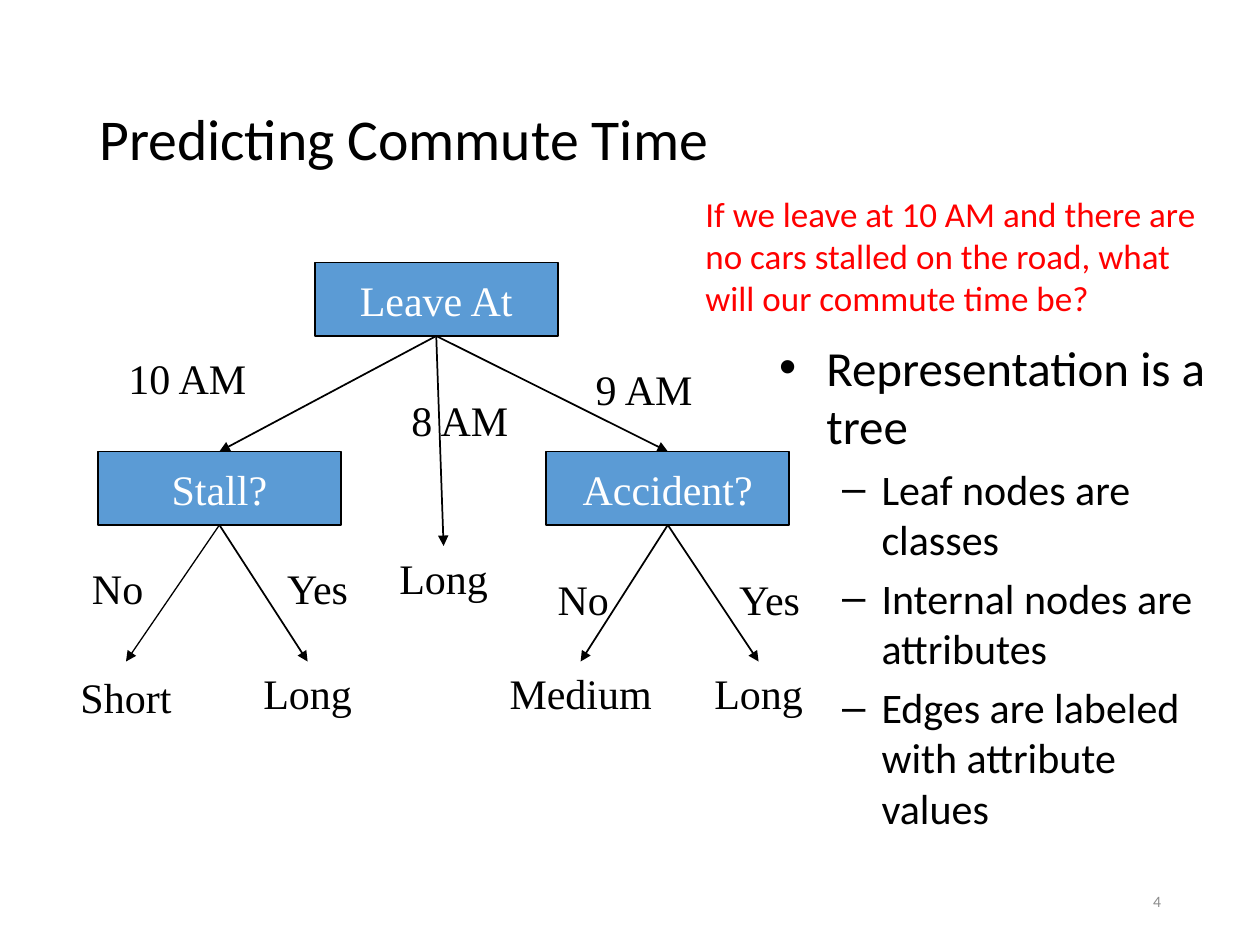
from lxml import etree
from pptx import Presentation
from pptx.dml.color import RGBColor
from pptx.enum.shapes import MSO_CONNECTOR, MSO_SHAPE
from pptx.enum.text import MSO_ANCHOR, MSO_AUTO_SIZE, PP_ALIGN
from pptx.oxml.ns import qn
from pptx.util import Inches, Pt

LEFT, CENTER, RIGHT = PP_ALIGN.LEFT, PP_ALIGN.CENTER, PP_ALIGN.RIGHT
MIDDLE, TOP = MSO_ANCHOR.MIDDLE, MSO_ANCHOR.TOP
GROW, NO_FIT = MSO_AUTO_SIZE.SHAPE_TO_FIT_TEXT, MSO_AUTO_SIZE.NONE
RECT, STRAIGHT = MSO_SHAPE.RECTANGLE, MSO_CONNECTOR.STRAIGHT
SANS, SERIF = "Calibri", "Times New Roman"
COLORS = {"ink": "000000", "node": "5B9BD5", "white": "FFFFFF",
          "question": "FF0000", "number": "8C8C8C"}

prs = Presentation()
prs.slide_width, prs.slide_height = Inches(10), Inches(7.5)
COL, ROW = prs.slide_width / 120, prs.slide_height / 90
NODE_W, NODE_H, LABEL_W, LABEL_H = 23.15, 7, 12.5, 6


def grid(col, row, width, height):
    return int(col * COL), int(row * ROW), int(width * COL), int(height * ROW)


def style(p, size, color, font=SANS, align=LEFT):
    p.alignment = align
    for r in p.runs:
        r.font.size, r.font.name = Pt(size), font
        r.font.color.rgb = RGBColor.from_string(COLORS[color])


s = prs.slides.add_slide(prs.slide_layouts[1])

title, body = s.placeholders
title.left, title.top, title.width, title.height = grid(8.25, 4.8, 103.5, 17.4)
tf = title.text_frame
tf.text = "Predicting Commute Time"
tf.vertical_anchor, tf.auto_size = MIDDLE, NO_FIT
tf.paragraphs[0].line_spacing = 0.9
style(tf.paragraphs[0], 33, "ink")

nodes = {"Leave At": (41.55, 25), "Stall?": (20.9, 43), "Accident?": (63.6, 43)}
for name, (center, row) in nodes.items():
    sp = s.shapes.add_shape(RECT, *grid(center - NODE_W / 2, row, NODE_W, NODE_H))
    sp.shadow.inherit = False
    sp.fill.solid()
    sp.fill.fore_color.rgb = RGBColor.from_string(COLORS["node"])
    sp.line.color.rgb = RGBColor.from_string(COLORS["ink"])
    sp.line.width = Pt(1)
    tf = sp.text_frame
    tf.text, tf.word_wrap, tf.vertical_anchor = name, False, MIDDLE
    style(tf.paragraphs[0], 24, "white", SERIF, CENTER)

edges = [("Leave At", 20.9, 43, 1), ("Leave At", 42.25, 52, 1), ("Leave At", 63.6, 43, 1),
         ("Stall?", 12, 63, 0.75), ("Stall?", 29.3, 63, 1),
         ("Accident?", 55.3, 63, 1), ("Accident?", 72.25, 63, 1)]
for parent, col, row, weight in edges:
    center, top = nodes[parent]
    edge = s.shapes.add_connector(
        STRAIGHT, int(center * COL), int((top + NODE_H) * ROW), int(col * COL), int(row * ROW))
    edge.line.color.rgb = RGBColor.from_string(COLORS["ink"])
    edge.line.width = Pt(weight)
    etree.SubElement(edge.line._get_or_add_ln(), qn("a:tailEnd"), type="triangle")
    etree.SubElement(edge._element.spPr, qn("a:effectLst"))

labels = [("10 AM", 18.2, 33, 14.3, LEFT), ("8 AM", 44.25, 37, LABEL_W, LEFT),
          ("9 AM", 61.8, 34, LABEL_W, LEFT),
          ("No", 11.2, 53, LABEL_W, CENTER), ("Yes", 30.25, 53, LABEL_W, CENTER),
          ("No", 55.55, 54, LABEL_W, CENTER), ("Yes", 73.3, 54, LABEL_W, CENTER),
          ("Short", 12, 63.4, LABEL_W, CENTER), ("Long", 29.3, 63, LABEL_W, CENTER),
          ("Long", 42.25, 52, LABEL_W, CENTER), ("Medium", 55.3, 63, 18.6, CENTER),
          ("Long", 72.25, 63, LABEL_W, CENTER)]
for text, center, row, width, align in labels:
    tf = s.shapes.add_textbox(*grid(center - width / 2, row, width, LABEL_H)).text_frame
    tf.text, tf.word_wrap, tf.auto_size = text, True, GROW
    style(tf.paragraphs[0], 24, "ink", SERIF, align)

tf = s.shapes.add_textbox(*grid(66, 17.75, 49.3, 13.3)).text_frame
tf.text = ("If we leave at 10 AM and there are no cars stalled on the road, "
           "what will our commute time be?")
tf.word_wrap, tf.auto_size = True, GROW
style(tf.paragraphs[0], 20, "question")

body.left, body.top, body.width, body.height = grid(73, 31.5, 45, 50.5)
tf = body.text_frame
tf.text = "\n".join(["Representation is a tree", "Leaf nodes are classes",
                     "Internal nodes are attributes",
                     "Edges are labeled with attribute values"])
tf.vertical_anchor, tf.auto_size = TOP, NO_FIT
for i, p in enumerate(tf.paragraphs):
    p.level = 1 if i else 0
    p.space_before = Pt(4.8 if i else 0)
    style(p, 24 if i else 28, "ink")

tf = s.shapes.add_textbox(*grid(84.75, 83.4, 27, 4.8)).text_frame
tf.text, tf.word_wrap, tf.vertical_anchor = "4", True, MIDDLE
style(tf.paragraphs[0], 9, "number", align=RIGHT)

prs.save("out.pptx")
